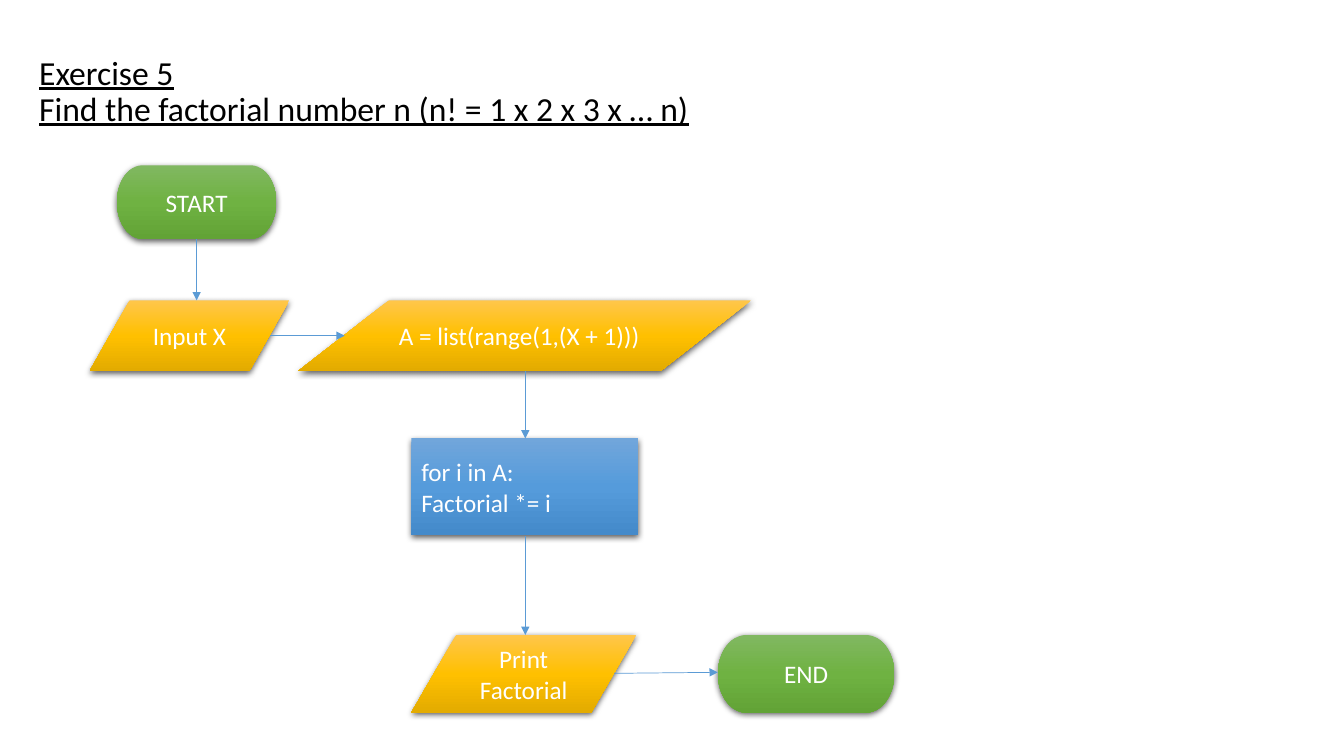
from lxml import etree
from pptx import Presentation
from pptx.dml.color import RGBColor
from pptx.enum import shapes, text
from pptx.oxml import ns
from pptx.util import Inches, Pt

SHAPE = shapes.MSO_SHAPE
FONT = "Calibri"
GREEN = ("81B861", "6FB242", "62A336")
GOLD = ("FFC64B", "FFC000", "E3AB00")
BLUE = ("71A6DB", "559BDB", "448ACA")
KINDS = {
    "terminal": (SHAPE.FLOWCHART_TERMINATOR, GREEN),
    "data": (SHAPE.FLOWCHART_DATA, GOLD),
    "process": (SHAPE.RECTANGLE, BLUE),
}
# kind, box (left, top, width, height), lines, centred
STEPS = [
    ("terminal", (1.16, 1.64, 1.58, 0.73), ["START"], True),
    ("data", (0.89, 2.98, 1.98, 0.7), ["Input X"], True),
    ("data", (2.96, 2.98, 4.49, 0.7), ["A = list(range(1,(X + 1)))"], False),
    ("process", (4.08, 4.35, 2.25, 0.96), ["for i in A:", "Factorial *= i"], False),
    ("data", (4.08, 6.3, 2.23, 0.77), ["Print Factorial"], True),
    ("terminal", (7.12, 6.3, 1.75, 0.77), ["END"], True),
]
ARROWS = [
    ((1.95, 2.37), (1.95, 2.98)),
    ((2.68, 3.33), (3.42, 3.33)),
    ((5.21, 3.68), (5.21, 4.35)),
    ((5.21, 5.32), (5.21, 6.3)),
    ((6.09, 6.68), (7.12, 6.67)),
]


def color(value):
    """Turn a hex string into a colour."""
    return RGBColor.from_string(value)


def add_xml(parent, tag, **attributes):
    """Append a DrawingML element and return it."""
    return etree.SubElement(parent, ns.qn("a:" + tag), attributes)


def add_span(para, words, size, ink):
    """Add one run of text in the slide's font."""
    span = para.add_run()
    span.text = words
    span.font.name = FONT
    span.font.size = Pt(size)
    span.font.color.rgb = color(ink)
    return span


def shade(shape, stops):
    """Fill a shape with a vertical three-stop gradient."""
    shape.fill.background()
    gradient = etree.Element(ns.qn("a:gradFill"), rotWithShape="1")
    stop_list = add_xml(gradient, "gsLst")
    for index, value in enumerate(stops):
        stop = add_xml(stop_list, "gs", pos=str(index * 50000))
        add_xml(stop, "srgbClr", val=value)
    add_xml(gradient, "lin", ang="5400000", scaled="0")
    properties = shape.element.spPr
    properties.replace(properties.find(ns.qn("a:noFill")), gradient)


def add_shadow(shape):
    """Give a shape a soft shadow below it."""
    shape.shadow.inherit = False
    effects = shape.element.spPr.find(ns.qn("a:effectLst"))
    shadow = add_xml(effects, "outerShdw", blurRad=str(Pt(4.5)), dist=str(Pt(1.5)),
                     dir="5400000", algn="ctr", rotWithShape="0")
    add_xml(add_xml(shadow, "srgbClr", val="000000"), "alpha", val="63000")


def add_title(page, box, lines):
    """Place the underlined title, one line below the other."""
    frame = page.shapes.add_textbox(*map(Inches, box)).text_frame
    frame.word_wrap = True
    frame.vertical_anchor = text.MSO_ANCHOR.MIDDLE
    para = frame.paragraphs[0]
    para.line_spacing = 0.9
    for index, line in enumerate(lines):
        if index:
            para.add_line_break()
        add_span(para, line, 24, "000000").font.underline = True


def add_step(page, kind, box, lines, centred):
    """Place one flowchart step in its box."""
    preset, stops = KINDS[kind]
    shape = page.shapes.add_shape(preset, *map(Inches, box))
    shape.line.fill.background()
    shade(shape, stops)
    add_shadow(shape)
    frame = shape.text_frame
    frame.word_wrap = True
    frame.vertical_anchor = text.MSO_ANCHOR.MIDDLE
    for index, line in enumerate(lines):
        para = frame.add_paragraph() if index else frame.paragraphs[0]
        para.alignment = text.PP_ALIGN.CENTER if centred else text.PP_ALIGN.LEFT
        add_span(para, line, 18, "FFFFFF")


def add_arrow(page, start, end):
    """Draw a thin arrow between two points."""
    arrow = page.shapes.add_connector(
        shapes.MSO_CONNECTOR.STRAIGHT, *map(Inches, start + end))
    arrow.line.color.rgb = color("5B9BD5")
    arrow.line.width = Pt(0.5)
    add_xml(arrow.line._get_or_add_ln(), "tailEnd", type="triangle")
    add_xml(arrow.element.spPr, "effectLst")


def add_flowchart(page):
    """Place all steps and the arrows that join them."""
    for step in STEPS:
        add_step(page, *step)
    for start, end in ARROWS:
        add_arrow(page, start, end)


def main():
    """Build and save the deck."""
    deck = Presentation()
    deck.slide_width, deck.slide_height = Inches(13.33), Inches(7.5)
    page = deck.slides.add_slide(deck.slide_layouts[6])
    add_title(page, (0.29, 0.19, 11.5, 1.45),
              ["Exercise 5", "Find the factorial number n (n! = 1 x 2 x 3 x … n)"])
    add_flowchart(page)
    deck.save("out.pptx")


main()
